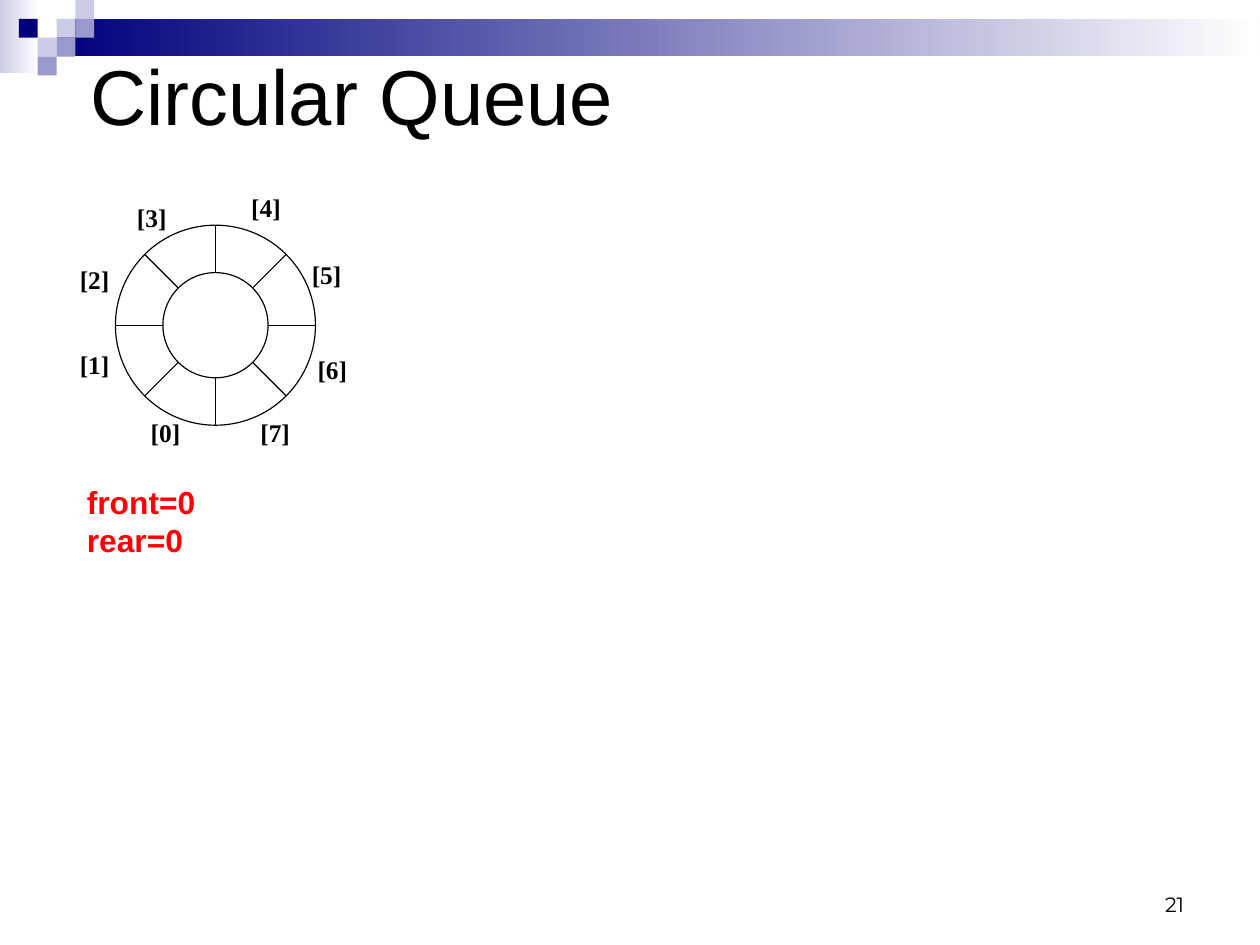
import math

from lxml import etree
from pptx import Presentation
from pptx.dml.color import RGBColor
from pptx.enum.shapes import MSO_CONNECTOR, MSO_SHAPE
from pptx.enum.text import MSO_ANCHOR, PP_ALIGN
from pptx.oxml.ns import qn
from pptx.util import Inches, Pt

BLACK = RGBColor(0x00, 0x00, 0x00)
WHITE = RGBColor(0xFF, 0xFF, 0xFF)
RED = RGBColor(0xFF, 0x00, 0x00)
NAVY = RGBColor(0x00, 0x00, 0x7D)
LAVENDER = RGBColor(0xCC, 0xCC, 0xE6)
PERIWINKLE = RGBColor(0x99, 0x99, 0xCC)
RECTANGLE, DONUT, OVAL = MSO_SHAPE.RECTANGLE, MSO_SHAPE.DONUT, MSO_SHAPE.OVAL
STRAIGHT = MSO_CONNECTOR.STRAIGHT
TOP, MIDDLE, BOTTOM = MSO_ANCHOR.TOP, MSO_ANCHOR.MIDDLE, MSO_ANCHOR.BOTTOM
LEFT, RIGHT = PP_ALIGN.LEFT, PP_ALIGN.RIGHT
CM_PER_INCH = 2.54


def write_text(shape, text, size, font="Arial", color=BLACK, bold=False,
               align=LEFT, anchor=TOP, margins=(0.11, 0.06), wrap=True):
    """Fill a shape with text, one paragraph for each line."""
    frame = shape.text_frame
    frame.text = text
    frame.word_wrap = wrap
    frame.vertical_anchor = anchor
    frame.margin_left = frame.margin_right = Inches(margins[0])
    frame.margin_top = frame.margin_bottom = Inches(margins[1])
    for paragraph in frame.paragraphs:
        paragraph.alignment = align
        paragraph.font.size = Pt(size)
        paragraph.font.name = font
        paragraph.font.bold = bold
        paragraph.font.color.rgb = color


def add_filled(preset, left, top, width, height, color, line=None):
    shape = slide.shapes.add_shape(
        preset, Inches(left), Inches(top), Inches(width), Inches(height))
    shape.shadow.inherit = False
    shape.fill.solid()
    shape.fill.fore_color.rgb = color
    if line is None:
        shape.line.fill.background()
    else:
        shape.line.color.rgb = line
        shape.line.width = Pt(0.75)
    return shape


presentation = Presentation()
presentation.slide_width = Inches(28 / CM_PER_INCH)
presentation.slide_height = Inches(21 / CM_PER_INCH)
slide = presentation.slides.add_slide(presentation.slide_layouts[5])

# Header bands and squares
SQUARE = 0.33 / 2
for left, top, width, height, start in [(0, 0, 0.34, 0.64, LAVENDER),
                                        (0.5, SQUARE, 10.52, 2 * SQUARE, NAVY)]:
    band = add_filled(RECTANGLE, left, top, width, height, start)
    band.fill.gradient()
    band.fill.gradient_angle = 0
    for stop, position, color in zip(band.fill.gradient_stops, (0, 1), (start, WHITE)):
        stop.position = position
        stop.color.rgb = color

for column, row, color in [(3, 1, LAVENDER), (4, 0, LAVENDER), (4, 1, PERIWINKLE),
                           (2, 2, LAVENDER), (1, 1, NAVY), (3, 2, PERIWINKLE),
                           (2, 3, PERIWINKLE)]:
    add_filled(RECTANGLE, column * SQUARE, row * SQUARE, SQUARE, SQUARE, color)

# Title and page number
title = slide.shapes.title
title.left, title.top = Inches(0.68), Inches(0)
title.width, title.height = Inches(9.92), Inches(1.65)
write_text(title, "Circular Queue", 49, anchor=MIDDLE)

page_number = slide.shapes.add_textbox(
    Inches(7.9), Inches(7.53), Inches(2.57), Inches(0.55))
write_text(page_number, "21", 13, font="Montserrat", align=RIGHT, anchor=BOTTOM)

# Ring of eight slots
RING_LEFT, RING_TOP, RING_SIZE, HUB_SIZE = 1.01, 1.97, 1.75, 0.92
RADIUS = RING_SIZE / 2
CENTER_X, CENTER_Y = RING_LEFT + RADIUS, RING_TOP + RADIUS
ring = add_filled(DONUT, RING_LEFT, RING_TOP, RING_SIZE, RING_SIZE, WHITE, BLACK)
ring.adjustments[0] = 0.25
for degrees in range(0, 180, 45):
    across = RADIUS * math.cos(math.radians(degrees))
    down = RADIUS * math.sin(math.radians(degrees))
    divider = slide.shapes.add_connector(
        STRAIGHT, Inches(CENTER_X - across), Inches(CENTER_Y - down),
        Inches(CENTER_X + across), Inches(CENTER_Y + down))
    divider.line.color.rgb = BLACK
    divider.line.width = Pt(0.75)
    etree.SubElement(divider.element.spPr, qn("a:effectLst"))
add_filled(OVAL, CENTER_X - HUB_SIZE / 2, CENTER_Y - HUB_SIZE / 2,
           HUB_SIZE, HUB_SIZE, WHITE, BLACK)

slot_positions = [(1.22, 3.6), (0.6, 3.01), (0.6, 2.26), (1.1, 1.72),
                  (2.1, 1.63), (2.63, 2.22), (2.68, 3.05), (2.18, 3.6)]
for index, (left, top) in enumerate(slot_positions):
    label = slide.shapes.add_textbox(
        Inches(left), Inches(top), Inches(0.46), Inches(0.37))
    write_text(label, f"[{index}]", 16, font="Times New Roman", bold=True,
               margins=(0.1, 0.05), wrap=False)

# Queue state
state = slide.shapes.add_textbox(Inches(0.76), Inches(4.22), Inches(1.17), Inches(0.67))
write_text(state, "front=0\nrear=0", 20, color=RED, bold=True, margins=(0, 0))

presentation.save("out.pptx")
